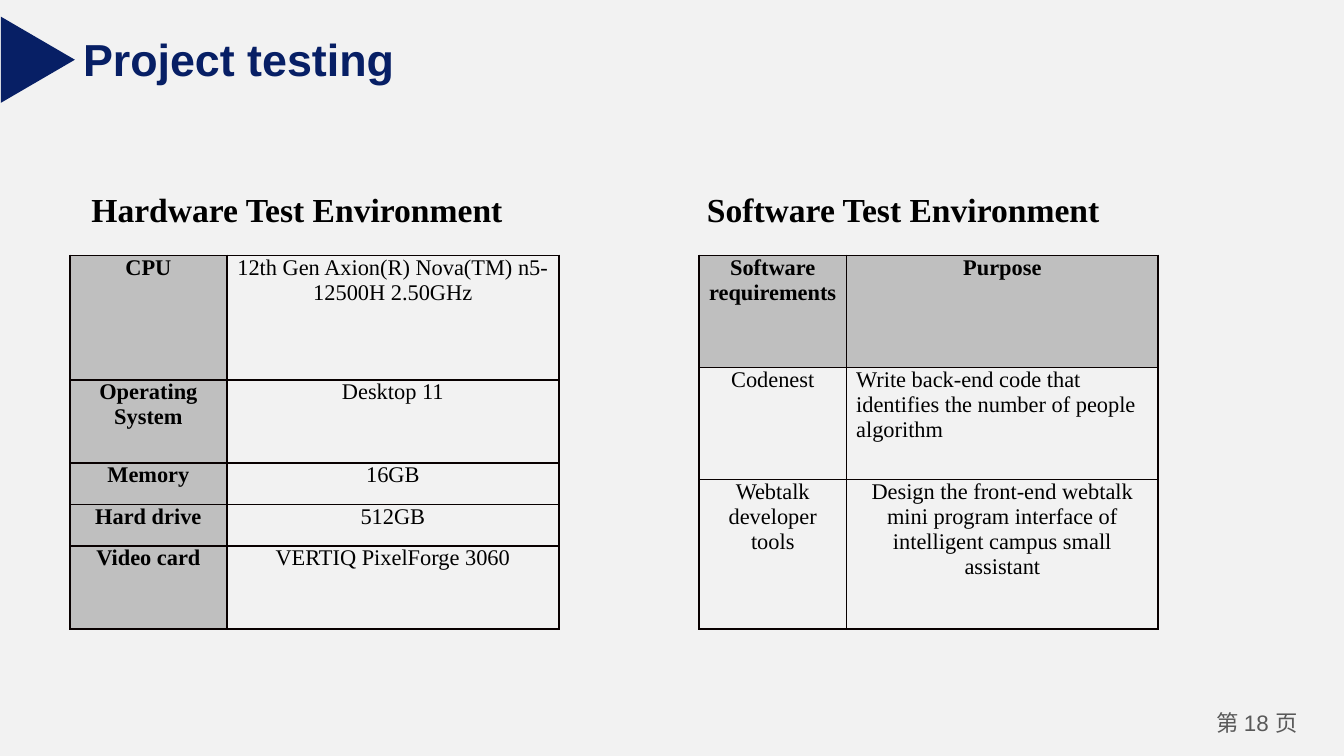
from lxml import etree
from pptx import Presentation
from pptx.dml.color import RGBColor
from pptx.enum import shapes, text
from pptx.oxml import ns
from pptx.util import Cm, Pt

NAVY, BLACK, GREY, HEADER, PAPER = "071F65", "000000", "595959", "BFBFBF", "F2F2F2"
BORDER = "080000"
SERIF, SANS, CJK = "Times New Roman", "Arial", "Noto Sans CJK SC"
CENTER, LEFT = text.PP_ALIGN.CENTER, text.PP_ALIGN.LEFT
TABLE_HEIGHT = 7.06

HARDWARE = [
    ("CPU", "12th Gen Axion(R) Nova(TM) n5-12500H 2.50GHz"),
    ("Operating System", "Desktop 11"),
    ("Memory", "16GB"),
    ("Hard drive", "512GB"),
    ("Video card", "VERTIQ PixelForge 3060"),
]
SOFTWARE = [
    ("Software requirements", "Purpose"),
    ("Codenest", "Write back-end code that identifies the number of people algorithm"),
    ("Webtalk developer tools",
     "Design the front-end webtalk mini program interface of intelligent campus small assistant"),
]


def rgb(value):
    return RGBColor.from_string(value)


def style_run(r, size, font, color, bold=False):
    r.font.size, r.font.name, r.font.bold = Pt(size), font, bold
    r.font.color.rgb = rgb(color)
    if font == CJK:
        etree.SubElement(r._r.get_or_add_rPr(), ns.qn("a:ea"), typeface=font)


def add_text(s, box, parts, size, color, bold=False, align=LEFT):
    """Add a one-line text box; parts is a list of (text, font) runs."""
    tf = s.shapes.add_textbox(*map(Cm, box)).text_frame
    tf.word_wrap = True
    p = tf.paragraphs[0]
    p.alignment = align
    for words, font in parts:
        r = p.add_run()
        r.text = words
        style_run(r, size, font, color, bold)
    return tf


def add_marker(s):
    sp = s.shapes.add_shape(shapes.MSO_SHAPE.ISOSCELES_TRIANGLE,
                            Cm(-0.1), Cm(0.43), Cm(1.63), Cm(1.4))
    sp.rotation = 90
    sp.shadow.inherit = False
    sp.fill.solid()
    sp.fill.fore_color.rgb = rgb(NAVY)
    sp.line.fill.background()


def border_cell(cell):
    tcPr = cell._tc.get_or_add_tcPr()
    for i, side in enumerate(("lnL", "lnR", "lnT", "lnB")):
        ln = etree.Element(ns.qn(f"a:{side}"), w=str(Pt(1)))
        fill = etree.SubElement(ln, ns.qn("a:solidFill"))
        etree.SubElement(fill, ns.qn("a:srgbClr"), val=BORDER)
        tcPr.insert(i, ln)


def format_cell(cell, words, is_header, align):
    cell.margin_left = cell.margin_right = Cm(0.18)
    cell.margin_top = cell.margin_bottom = 0
    cell.text_frame.text = words
    p = cell.text_frame.paragraphs[0]
    p.alignment = align
    style_run(p.runs[0], 12, SERIF, BLACK, is_header)
    if is_header:
        cell.fill.solid()
        cell.fill.fore_color.rgb = rgb(HEADER)
    else:
        cell.fill.background()
    border_cell(cell)


def add_grid(s, left, widths, shares, rows, is_header, left_cells=()):
    """Add a table whose row heights split TABLE_HEIGHT by shares."""
    frame = s.shapes.add_table(len(rows), len(widths), Cm(left), Cm(4.83),
                               Cm(sum(widths)), Cm(TABLE_HEIGHT))
    table = frame.table
    table.first_row = table.horz_banding = False
    for column, width in zip(table.columns, widths):
        column.width = Cm(width)
    for i, row in enumerate(rows):
        table.rows[i].height = Cm(TABLE_HEIGHT * shares[i] / sum(shares))
        for j, words in enumerate(row):
            align = LEFT if (i, j) in left_cells else CENTER
            format_cell(table.cell(i, j), words, is_header(i, j), align)


def add_heading(s, left, words):
    add_text(s, (left, 3.45, 11, 1.02), [(words, SERIF)], 18, BLACK, bold=True)


def main():
    prs = Presentation()
    prs.slide_width, prs.slide_height = Cm(25.4), Cm(14.29)
    s = prs.slides.add_slide(prs.slide_layouts[6])
    s.background.fill.solid()
    s.background.fill.fore_color.rgb = rgb(PAPER)

    add_marker(s)
    add_text(s, (1.32, 0.48, 7.57, 1.27), [("Project testing", SANS)], 24, NAVY, bold=True)

    add_heading(s, 1.48, "Hardware Test Environment")
    add_grid(s, 1.32, (2.97, 6.27), (3, 2, 1, 1, 2), HARDWARE, lambda i, j: j == 0)

    add_heading(s, 13.11, "Software Test Environment")
    add_grid(s, 13.21, (2.79, 5.89), (3, 3, 4), SOFTWARE, lambda i, j: i == 0,
             left_cells={(1, 1)})

    page = add_text(s, (22.61, 13.31, 2.29, 0.76),
                    [("第 ", CJK), ("18 ", SANS), ("页", CJK)], 12, GREY, align=CENTER)
    page.margin_left = page.margin_right = Cm(0.18)
    page.margin_top = page.margin_bottom = Cm(0.1)

    prs.save("out.pptx")


if __name__ == "__main__":
    main()
